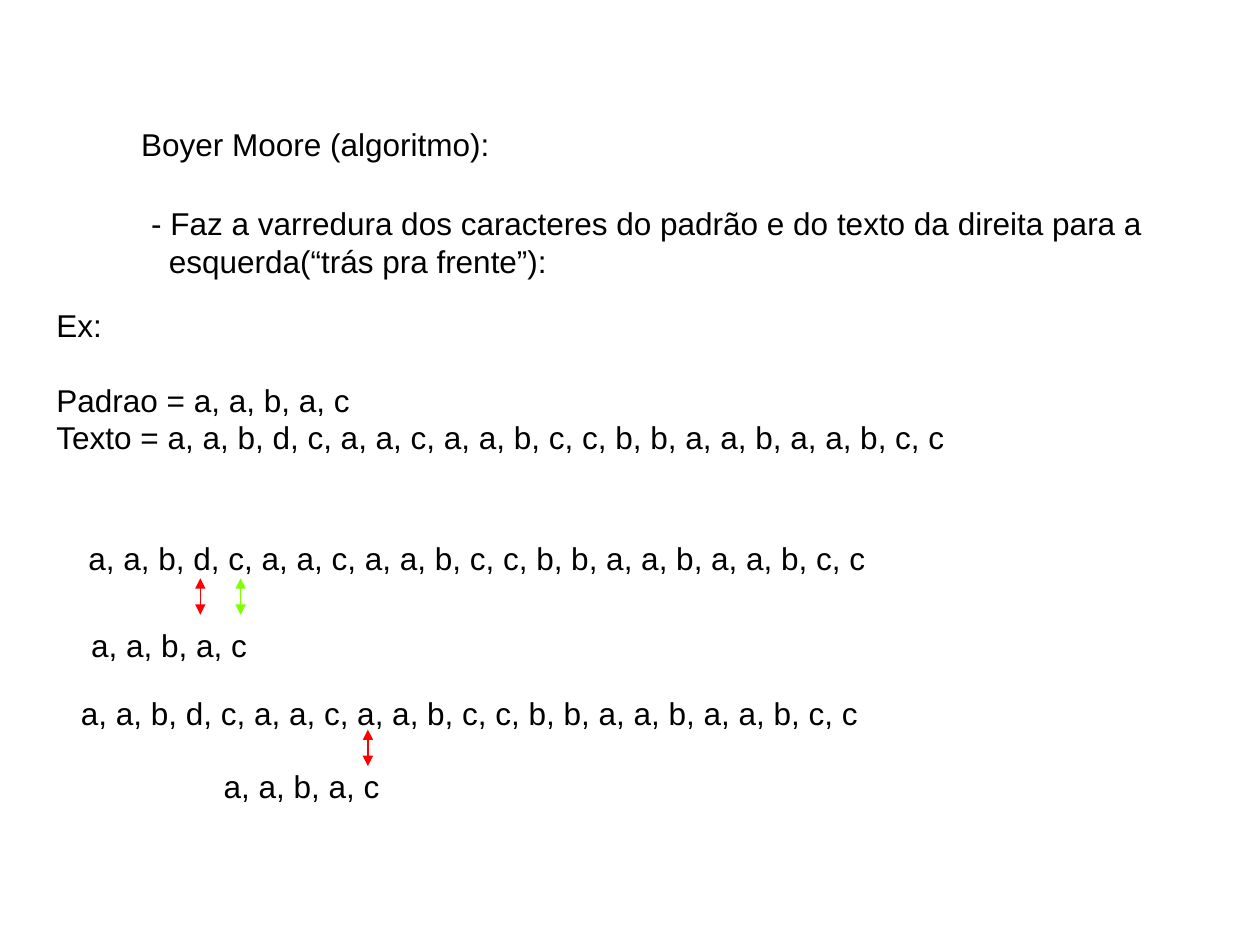
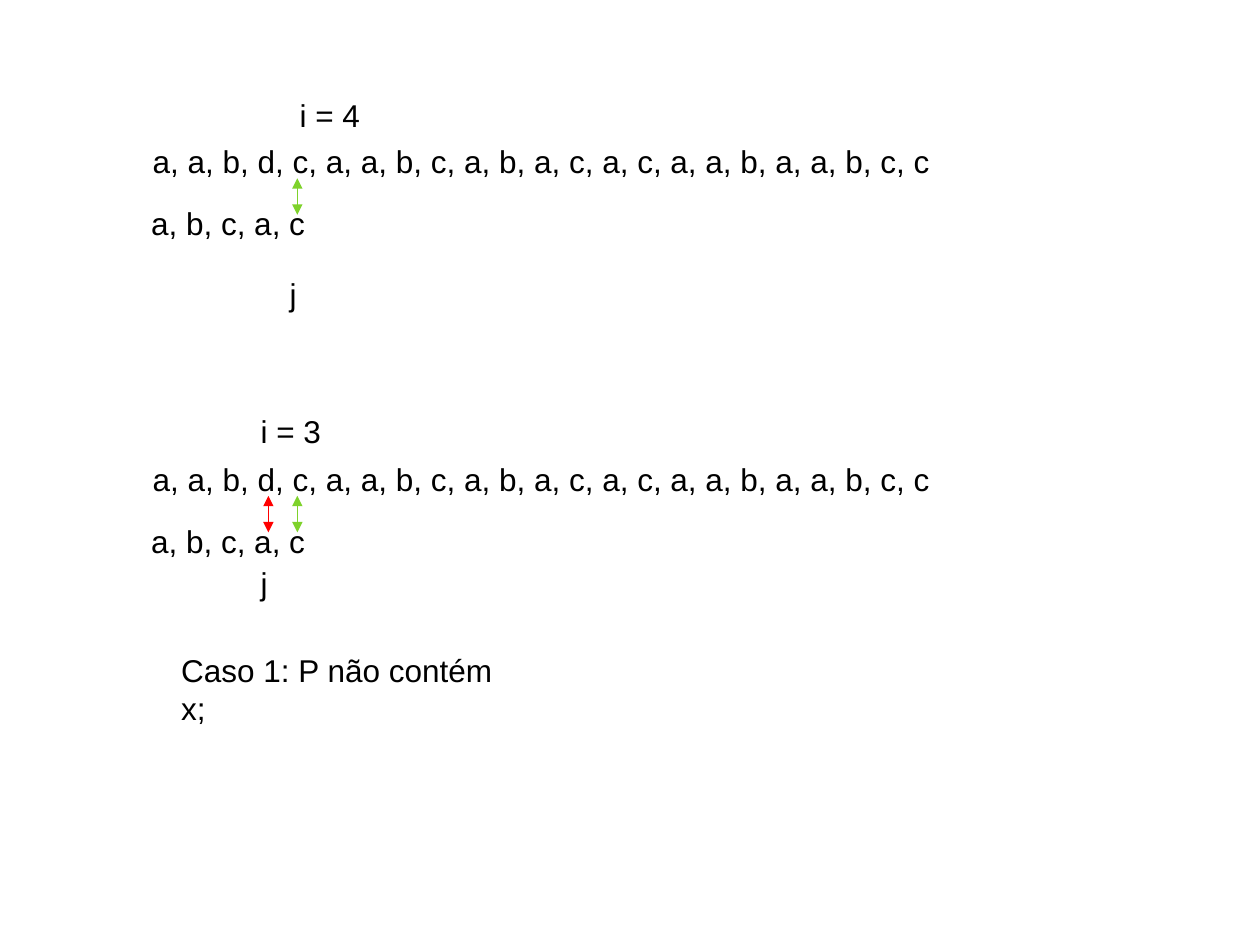
from dataclasses import dataclass
from lxml.etree import SubElement
from pptx import Presentation
from pptx.dml.color import RGBColor
from pptx.enum.shapes import MSO_CONNECTOR
from pptx.enum.text import MSO_ANCHOR, MSO_AUTO_SIZE, PP_ALIGN
from pptx.oxml.ns import qn
from pptx.util import Inches, Pt


@dataclass(frozen=True)
class Theme:
    font: str = "Arial"
    size: int = 18
    ink: str = "000000"
    miss: str = "FF0000"
    lime: str = "7FFF00"
    hit: str = "7ED22B"
    line: float = 0.75
    arrow: float = 0.29


THEME = Theme()

TITLE = "Boyer Moore (algoritmo):"
BODY = [
    "- Faz a varredura dos caracteres do padrão e do texto da direita para a",
    "esquerda(“trás pra frente”):",
]
SAMPLE = [
    "Ex:",
    "Padrao = a, a, b, a, c",
    "Texto = a, a, b, d, c, a, a, c, a, a, b, c, c, b, b, a, a, b, a, a, b, c, c",
]
SCAN = {
    "text": "a, a, b, d, c, a, a, c, a, a, b, c, c, b, b, a, a, b, a, a, b, c, c",
    "find": "a, a, b, a, c",
    "width": 1.46,
}
MATCH = {
    "text": "a, a, b, d, c, a, a, b, c, a, b, a, c, a, c, a, a, b, a, a, b, c, c",
    "find": "a, b, c, a, c",
    "width": 1.42,
}
SCANS = [
    dict(left=0.59, top=4.23, start=0.6, drop=0.69, gap=0.36,
         marks=[(1.91, THEME.lime), (1.59, THEME.miss)]),
    dict(left=0.53, top=5.46, start=1.65, drop=0.58, gap=0.33,
         marks=[(2.92, THEME.miss)]),
]
ROW = dict(left=1.1, start=1.1, drop=0.49, gap=0.335)
MATCHES = [
    dict(ROW, top=1.08, marks=[(2.36, THEME.hit)]),
    dict(ROW, top=3.6, marks=[(2.36, THEME.hit), (2.13, THEME.miss)]),
]
LABELS = [
    ("i = 4", 2.28, 0.71, 0.8),
    ("j", 2.2, 2.13, 0.25),
    ("i = 3", 1.97, 3.22, 0.8),
    ("j", 1.97, 4.43, 0.25),
    ("Caso 1: P não contém x;", 1.34, 5.12, 2.9),
]


def place(shape, left, top, width, height):
    shape.left, shape.top = Inches(left), Inches(top)
    shape.width, shape.height = Inches(width), Inches(height)


def write(shape, lines, align=PP_ALIGN.LEFT, wrap=True):
    frame = shape.text_frame
    frame.text = "\n".join(lines)
    frame.word_wrap = wrap
    frame.auto_size = MSO_AUTO_SIZE.NONE
    frame.vertical_anchor = MSO_ANCHOR.TOP
    for para in frame.paragraphs:
        para.alignment = align
        para.space_before = Pt(0)
        for run in para.runs:
            font = run.font
            font.name, font.size = THEME.font, Pt(THEME.size)
            font.color.rgb = RGBColor.from_string(THEME.ink)
    return frame.paragraphs


def label(slide, lines, left, top, width, height=0.38, **style):
    box = slide.shapes.add_textbox(0, 0, 0, 0)
    place(box, left, top, width, height)
    return write(box, lines, **style)


def arrow(slide, x, top, color):
    line = slide.shapes.add_connector(
        MSO_CONNECTOR.STRAIGHT, Inches(x), Inches(top + THEME.arrow),
        Inches(x), Inches(top))
    line.line.color.rgb = RGBColor.from_string(color)
    line.line.width = Pt(THEME.line)
    props = line.line._get_or_add_ln()
    for end in ("a:headEnd", "a:tailEnd"):
        SubElement(props, qn(end), type="triangle")
    SubElement(line._element.spPr, qn("a:effectLst"))


def align(slide, pair, step):
    top = step["top"]
    rows = [
        (pair["text"], step["left"], top, 6.38),
        (pair["find"], step["start"], top + step["drop"], pair["width"]),
    ]
    for text, left, y, width in rows:
        label(slide, [text], left, y, width, 0.4,
              align=PP_ALIGN.RIGHT, wrap=False)
    for x, color in step["marks"]:
        arrow(slide, x, top + step["gap"], color)


def intro(deck):
    slide = deck.slides.add_slide(deck.slide_layouts[1])
    title, body = slide.shapes.title, slide.placeholders[1]
    place(title, 1.02, 0.94, 3.08, 0.37)
    write(title, [TITLE])
    place(body, 1.1, 1.57, 8.24, 0.93)
    for para, inset in zip(write(body, BODY), (0, 0.14)):
        props = para._p.get_or_add_pPr()
        props.set("marL", str(Inches(inset)))
        props.set("indent", "0")
        SubElement(props, qn("a:buNone"))
    lines = label(slide, SAMPLE, 0.35, 2.38, 7.37, 1.21)
    lines[1].space_before = Pt(21)
    for step in SCANS:
        align(slide, SCAN, step)


def cases(deck):
    slide = deck.slides.add_slide(deck.slide_layouts[6])
    for step in MATCHES:
        align(slide, MATCH, step)
    for text, *area in LABELS:
        label(slide, [text], *area)


def main():
    deck = Presentation()
    deck.slide_width, deck.slide_height = Inches(10), Inches(7.5)
    intro(deck)
    cases(deck)
    deck.save("out.pptx")


if __name__ == "__main__":
    main()
